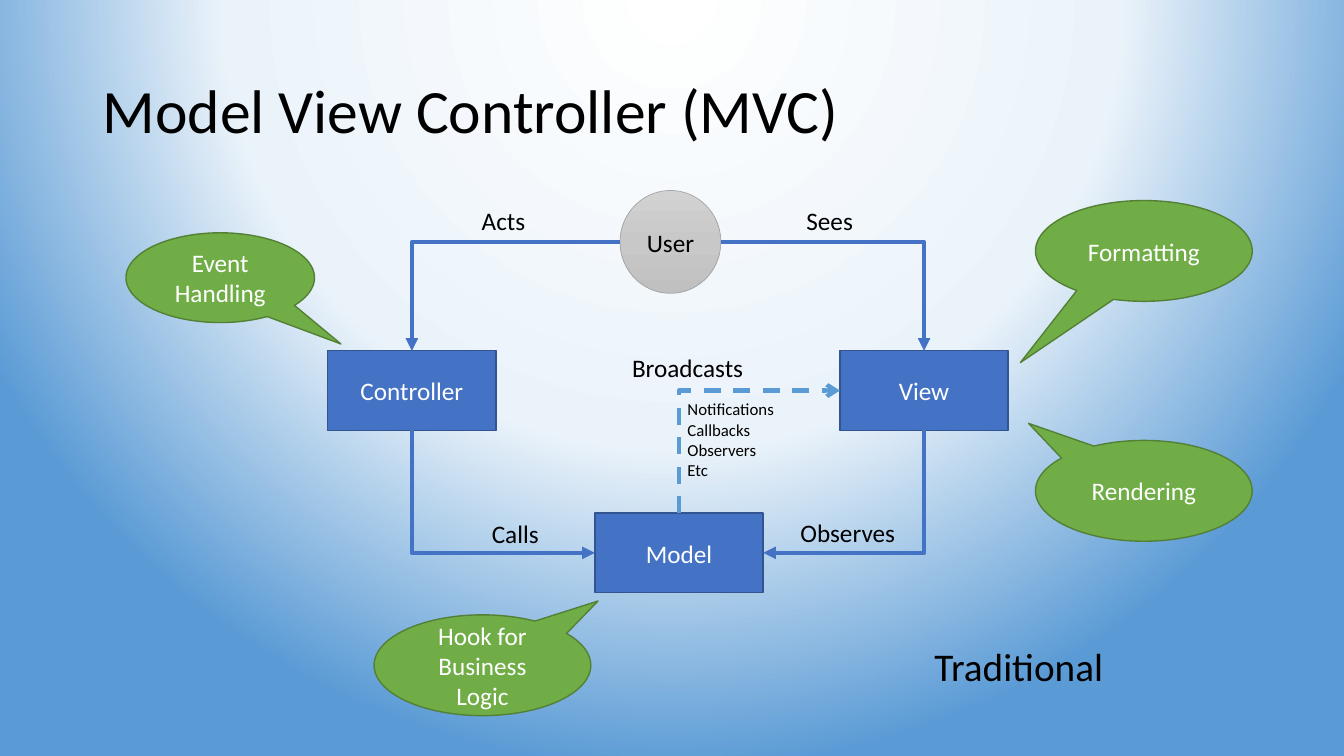
from lxml import etree
from pptx import Presentation
from pptx.dml.color import RGBColor
from pptx.enum import dml, shapes, text
from pptx.oxml import ns
from pptx.util import Inches, Pt

COLORS = {"box": "4472C4", "box_edge": "325491", "note": "70AD47", "note_edge": "538035",
          "user_edge": "A5A5A5", "dashed": "5B9BD5", "white": "FFFFFF", "black": "000000"}
BACKDROP = [(0, "FFFFFF"), (58, "EBF3FA"), (100, "5B9BD5")]
USER_FILL = [(0, "D2D2D2"), (50, "C8C8C8"), (100, "C0C0C0")]
BOX_W, BOX_H = 1.67, 0.79
BOXES = {"Controller": (3.25, 3.48), "Model": (5.9, 5.09), "View": (8.33, 3.48)}
USER = (6.15, 1.89, 1, 1.02)
CALLOUTS = [
    ("Event Handling", (1.25, 2.31, 1.87, 0.89), (0.64, 0.739)),
    ("Hook for Business Logic", (3.71, 6.1, 2.15, 1), (0.533, -0.637)),
    ("Formatting", (10.27, 1.99, 2.15, 1), (-0.57, 1.108)),
    ("Rendering", (10.27, 4.37, 2.15, 1), (-0.532, -0.67)),
]
LABELS = [
    ("Sees", (7.9, 1.99, 0.73, 0.4), 18),
    ("Acts", (4.68, 1.99, 0.73, 0.4), 18),
    ("Calls", (4.78, 5.09, 0.94, 0.4), 18),
    ("Observes", (7.84, 5.08, 1.26, 0.4), 18),
    ("Broadcasts", (6.17, 3.45, 1.45, 0.4), 18),
    ("Notifications\nCallbacks\nObservers\nEtc", (6.72, 3.91, 1.18, 0.91), 12),
    ("Traditional", (9.17, 6.32, 2.24, 0.57), 28),
]
TOP, LEFT, BOTTOM, RIGHT = range(4)
# source, side, target, side, rotation, flips, dashed
ARROWS = [
    ("User", RIGHT, "View", TOP, 0, "", False),
    ("User", LEFT, "Controller", TOP, 180, "V", False),
    ("Controller", BOTTOM, "Model", LEFT, 270, "H", False),
    ("View", BOTTOM, "Model", RIGHT, 90, "", False),
    ("Model", TOP, "View", LEFT, 90, "HV", True),
]


def rgb(name):
    return RGBColor.from_string(COLORS[name])


def set_gradient(holder, stops, direction):
    grad = etree.Element(ns.qn("a:gradFill"), rotWithShape="1")
    stop_list = etree.SubElement(grad, ns.qn("a:gsLst"))
    for pos, color in stops:
        stop = etree.SubElement(stop_list, ns.qn("a:gs"), pos=str(pos * 1000))
        etree.SubElement(stop, ns.qn("a:srgbClr"), val=color)
    if direction == "circle":
        circle = etree.SubElement(grad, ns.qn("a:path"), {"path": "circle"})
        etree.SubElement(circle, ns.qn("a:fillToRect"), l="50000", t="-80000", r="50000", b="180000")
    else:
        etree.SubElement(grad, ns.qn("a:lin"), ang=str(direction * 60000), scaled="0")
    holder.replace(holder.find(ns.qn("a:solidFill")), grad)


def write(sp, words, size, color, align, anchor):
    tf = sp.text_frame
    tf.word_wrap = True
    tf.vertical_anchor = anchor
    tf.text = words
    for p in tf.paragraphs:
        p.alignment = align
        for r in p.runs:
            r.font.name, r.font.size = "Calibri", Pt(size)
            r.font.color.rgb = rgb(color)
    return tf


def add_label(s, words, at, size, anchor=text.MSO_ANCHOR.TOP):
    sp = s.shapes.add_textbox(*map(Inches, at))
    return write(sp, words, size, "black", text.PP_ALIGN.LEFT, anchor)


def add_node(s, kind, words, at, fill, edge, edge_width=1, color="white"):
    sp = s.shapes.add_shape(kind, *map(Inches, at))
    sp.shadow.inherit = False
    sp.fill.solid()
    sp.fill.fore_color.rgb = rgb(fill)
    sp.line.color.rgb = rgb(edge)
    sp.line.width = Pt(edge_width)
    write(sp, words, 18, color, text.PP_ALIGN.CENTER, text.MSO_ANCHOR.MIDDLE)
    return sp


def side_middle(sp, side):
    x = sp.left + {LEFT: 0, RIGHT: sp.width}.get(side, sp.width // 2)
    y = sp.top + {TOP: 0, BOTTOM: sp.height}.get(side, sp.height // 2)
    return x, y


def add_arrow(s, nodes, source, start_side, target, end_side, rotation, flips, dashed):
    x1, y1 = side_middle(nodes[source], start_side)
    x2, y2 = side_middle(nodes[target], end_side)
    c = s.shapes.add_connector(shapes.MSO_CONNECTOR.ELBOW, x1, y1, x2, y2)
    if source in BOXES:
        c.begin_connect(nodes[source], start_side)
    c.end_connect(nodes[target], end_side)

    width, height = abs(x2 - x1), abs(y2 - y1)
    if rotation % 180:
        width, height = height, width
    c.left, c.top = (x1 + x2 - width) // 2, (y1 + y2 - height) // 2
    c.width, c.height = width, height
    props = c._element.spPr
    props.find(ns.qn("a:prstGeom")).set("prst", "bentConnector2")
    xfrm = props.find(ns.qn("a:xfrm"))
    xfrm.set("rot", str(rotation * 60000))
    for axis in "HV":
        xfrm.set("flip" + axis, str(int(axis in flips)))

    c.line.color.rgb = rgb("dashed" if dashed else "box")
    c.line.width = Pt(3)
    if dashed:
        c.line.dash_style = dml.MSO_LINE.DASH
    etree.SubElement(props.find(ns.qn("a:ln")), ns.qn("a:tailEnd"),
                     type="arrow" if dashed else "triangle")
    etree.SubElement(props, ns.qn("a:effectLst"))


def main():
    """Build the Model View Controller slide."""
    prs = Presentation()
    prs.slide_width, prs.slide_height = Inches(13.33), Inches(7.5)
    s = prs.slides.add_slide(prs.slide_layouts[6])
    s.background.fill.solid()
    set_gradient(s._element.cSld.bg.bgPr, BACKDROP, "circle")

    title = add_label(s, "Model View Controller (MVC)", (0.92, 0.4, 11.5, 1.45), 44,
                      text.MSO_ANCHOR.MIDDLE)
    title.paragraphs[0].line_spacing = 0.9

    kinds = shapes.MSO_SHAPE
    nodes = {name: add_node(s, kinds.RECTANGLE, name, (*at, BOX_W, BOX_H), "box", "box_edge")
             for name, at in BOXES.items()}
    nodes["User"] = add_node(s, kinds.OVAL, "User", USER, "white", "user_edge", 0.5, "black")
    set_gradient(nodes["User"]._element.spPr, USER_FILL, 90)

    for arrow in ARROWS:
        add_arrow(s, nodes, *arrow)
    for words, at, tip in CALLOUTS:
        sp = add_node(s, kinds.OVAL_CALLOUT, words, at, "note", "note_edge")
        sp.adjustments[0], sp.adjustments[1] = tip
    for words, at, size in LABELS:
        add_label(s, words, at, size)
    prs.save("out.pptx")


if __name__ == "__main__":
    main()
